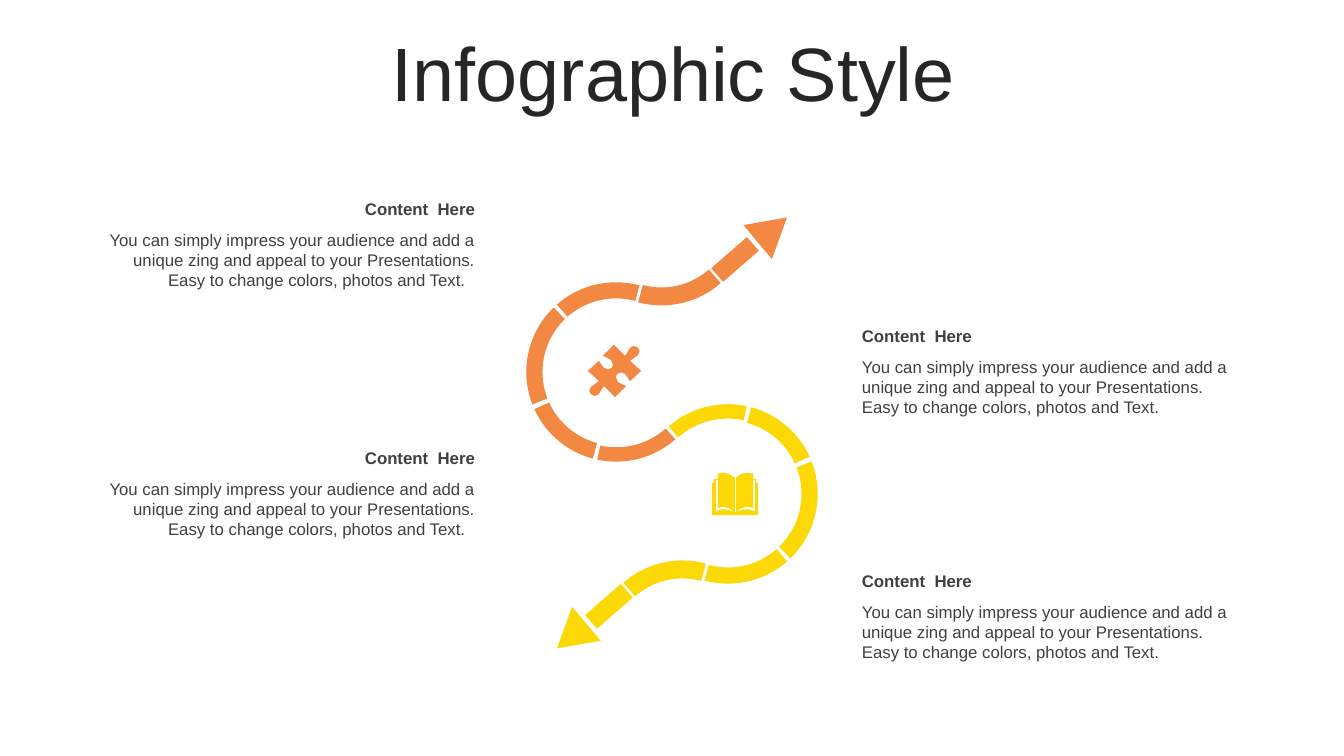
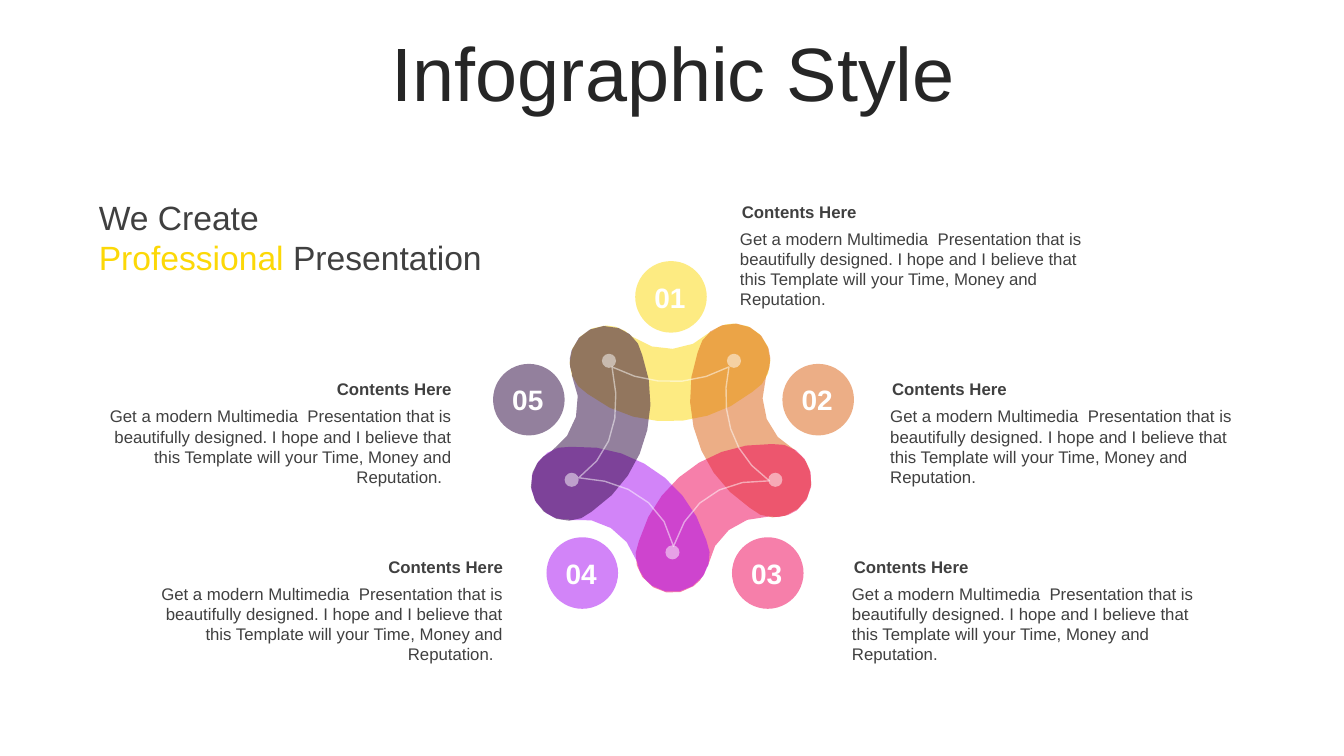
from pptx import Presentation
from pptx import util as u
from pptx.dml.color import RGBColor
from pptx.enum import shapes, text
from pptx.oxml.ns import qn
from lxml import etree
import math

# Shared style
FONT = "Arial"
DARK = RGBColor(0x26, 0x26, 0x26)
INK = RGBColor(0x40, 0x40, 0x40)
WHITE = RGBColor(0xFF, 0xFF, 0xFF)
ORANGE = RGBColor(0xF3, 0x88, 0x43)
YELLOW = RGBColor(0xFC, 0xD8, 0x07)
RUST = RGBColor(0xDB, 0x5E, 0x0E)
PINK = RGBColor(0xEE, 0x00, 0x57)
VIOLET = RGBColor(0xA7, 0x0B, 0xF2)
PLUM = RGBColor(0x29, 0x02, 0x3C)
LEFT, RIGHT, CENTER = (text.PP_ALIGN.LEFT, text.PP_ALIGN.RIGHT,
                       text.PP_ALIGN.CENTER)
TOP, MIDDLE = text.MSO_ANCHOR.TOP, text.MSO_ANCHOR.MIDDLE
KIND = shapes.MSO_SHAPE


def write(frame, words, size=12, color=INK, bold=False, align=LEFT,
          anchor=TOP, inset=(0.1, 0.05, 0.1, 0.05), leading=None, before=0):
    """Fill a frame with a string, or with lines of (words, color) runs."""
    frame.word_wrap = True
    frame.vertical_anchor = anchor
    (frame.margin_left, frame.margin_top,
     frame.margin_right, frame.margin_bottom) = map(u.Inches, inset)
    lines = [[(words, color)]] if isinstance(words, str) else words
    for i, line in enumerate(lines):
        para = frame.add_paragraph() if i else frame.paragraphs[0]
        para.alignment = align
        para.space_before = u.Pt(before)
        if leading:
            para.line_spacing = leading
        for part, hue in line:
            run = para.add_run()
            run.text = part
            font = run.font
            font.name, font.size, font.bold = FONT, u.Pt(size), bold
            font.color.rgb = hue


def fade(part, alpha):
    """Make the solid colour of a fill or line partly transparent."""
    tint = next(part.iter(qn("a:srgbClr")))
    etree.SubElement(tint, qn("a:alpha")).set("val", str(alpha * 1000))


def trace(start, steps):
    """Turn line ends and cubic curves into points, more on long curves."""
    points = [start]
    for step in steps:
        if len(step) == 2:
            points.append(step)
            continue
        ax, ay = points[-1]
        bx, by, cx, cy, dx, dy = step
        count = 2 + round(3 * math.hypot(dx - ax, dy - ay))
        for i in range(1, count + 1):
            t = i / count
            s = 1 - t
            a, b, c, d = s ** 3, 3 * s * s * t, 3 * s * t * t, t ** 3
            points.append((a * ax + b * bx + c * cx + d * dx,
                           a * ay + b * by + c * cy + d * dy))
    return points


class Deck:
    def __init__(self):
        self.show = Presentation()
        self.show.slide_width = u.Inches(13.33)
        self.show.slide_height = u.Inches(7.5)
        self.items = None

    def page(self, title):
        slide = self.show.slides.add_slide(self.show.slide_layouts[6])
        self.items = slide.shapes
        self.label(0.35, 0.37, 12.66, 0.79, title, size=54, color=DARK,
                   align=CENTER, anchor=MIDDLE, leading=0.9, before=10)

    def label(self, x, y, w, h, words, **style):
        box = self.items.add_textbox(*map(u.Inches, (x, y, w, h)))
        write(box.text_frame, words, **style)

    def paint(self, shape, color, alpha=100):
        shape.shadow.inherit = False
        shape.line.fill.background()
        shape.fill.solid()
        shape.fill.fore_color.rgb = color
        if alpha < 100:
            fade(shape.fill._xPr, alpha)
        return shape

    def shape(self, kind, mid, w, h, color, turn=0, alpha=100, adjust=()):
        """Place a preset shape by its middle."""
        x, y = mid
        item = self.items.add_shape(
            kind, *map(u.Inches, (x - w / 2, y - h / 2, w, h)))
        item.rotation = turn % 360
        for i, value in enumerate(adjust):
            item.adjustments[i] = value
        return self.paint(item, color, alpha)

    def outline(self, points, color, alpha=100, shift=(0, 0), turn=0):
        spots = [(u.Inches(x + shift[0]), u.Inches(y + shift[1]))
                 for x, y in points]
        build = self.items.build_freeform(*spots[0], scale=1.0)
        build.add_line_segments(spots[1:], close=True)
        item = build.convert_to_shape()
        item.rotation = turn
        return self.paint(item, color, alpha)

    def wire(self, points, color, alpha):
        item = self.outline(points, color)
        item.fill.background()
        item.line.color.rgb = color
        item.line.width = u.Pt(1)
        fade(item.line._ln, alpha)

    def note(self, x, y, w, head, body, align, gap, sides):
        """Place a bold heading with a paragraph below it."""
        (near, far), (inner, outer) = sides
        self.label(x, y, w, 0.3, head, bold=True, align=align,
                   inset=(near, 0.05, far, 0.05))
        tail = "  " if align == RIGHT else ""
        self.label(x, y + gap, w, 0.8, body + tail, align=align,
                   inset=(inner, 0.05, outer, 0.05))


# Snake: each arc has middle, turn and adjustments (start, end, thickness)
LOOP = (6.11, 3.69)
ARCS = [
    (LOOP, 285, (140.29, 180.58, 0.09)),
    (LOOP, 285, (182.21, 0.07, 0.09)),
    (LOOP, 285, (108, 138.3, 0.09)),
    (LOOP, 105, (182.21, 214.26, 0.08)),
    ((6.56, 2.14), 105, (182.21, 0.02, 0.1)),
]
HUB = (6.665, 4.295)

# Puzzle piece: the second half is the first, turned about its middle
PIECE = (6.095, 3.68)
HALF = [
    (6.35, 3.46, 6.35, 3.5, 6.33, 3.52), (6.31, 3.55, 6.28, 3.54, 6.25, 3.58),
    (6.36, 3.68), (6.25, 3.78),
    (6.22, 3.76, 6.23, 3.73, 6.2, 3.71), (6.18, 3.69, 6.14, 3.69, 6.12, 3.71),
    (6.11, 3.72, 6.1, 3.76, 6.13, 3.79), (6.16, 3.82, 6.17, 3.8, 6.21, 3.83),
    (6.1, 3.94), (5.99, 3.83),
    (5.95, 3.87, 5.97, 3.88, 5.94, 3.91), (5.92, 3.94, 5.88, 3.93, 5.86, 3.91),
]

# Open book
BOOK = [
    (7.3, 5.08), (7.37, 5.05, 7.41, 5.04, 7.49, 5.07), (7.49, 4.76),
    (7.47, 4.76), (7.47, 5.04), (7.41, 5.01, 7.35, 5.03, 7.3, 5.08),
    (7.3, 4.74), (7.33, 4.71, 7.36, 4.69, 7.4, 4.69),
    (7.42, 4.69, 7.44, 4.69, 7.47, 4.7), (7.47, 4.75), (7.5, 4.75),
    (7.5, 4.79), (7.52, 4.79), (7.52, 5.11), (7.06, 5.11), (7.06, 4.79),
    (7.08, 4.79), (7.08, 4.75), (7.12, 4.75), (7.12, 4.7),
    (7.14, 4.69, 7.16, 4.69, 7.18, 4.69), (7.22, 4.69, 7.25, 4.71, 7.29, 4.74),
    (7.29, 5.08), (7.23, 5.03, 7.17, 5.01, 7.12, 5.04), (7.12, 4.76),
    (7.1, 4.76), (7.1, 5.07), (7.17, 5.03, 7.22, 5.06, 7.29, 5.08),
]

# Petal: drawn once about its middle, then moved and turned
CORE = (6.645, 3.695)
PETAL = [
    (7.48, 3.21, 7.64, 3.37, 7.64, 3.58), (7.64, 3.71, 7.57, 3.83, 7.46, 3.89),
    (6.99, 4.27, 6.31, 4.28, 5.83, 3.91), (5.72, 3.85, 5.65, 3.73, 5.65, 3.6),
    (5.65, 3.4, 5.81, 3.23, 6.01, 3.23), (6.11, 3.23, 6.2, 3.27, 6.27, 3.34),
    (6.51, 3.52, 6.84, 3.5, 7.05, 3.29), (7.06, 3.29),
    (7.12, 3.24, 7.19, 3.21, 7.28, 3.21),
]
# Petal middle, turn, colour, badge middle, note corner and side
STEPS = [
    (CORE, 0, YELLOW, (6.655, 2.945), (7.26, 1.95), LEFT),
    ((7.375, 4.205), 72.2, RUST, (8.115, 3.965), (8.75, 3.71), LEFT),
    ((7.115, 5.055), 144.6, PINK, (7.615, 5.685), (8.37, 5.47), LEFT),
    ((6.215, 5.065), 215.3, VIOLET, (5.775, 5.685), (1.45, 5.47), RIGHT),
    ((5.925, 4.235), 288.6, PLUM, (5.245, 3.965), (0.94, 3.71), RIGHT),
]
DOTS = [(6.04, 3.58), (7.28, 3.58), (7.69, 4.76), (6.67, 5.48), (5.67, 4.76)]
WEB = [
    (6.43, 3.83, 6.86, 3.84, 7.23, 3.64), (7.14, 4.05, 7.23, 4.49, 7.63, 4.77),
    (7.16, 4.75, 6.82, 4.97, 6.68, 5.42), (6.58, 4.96, 6.18, 4.76, 5.74, 4.74),
    (6.09, 4.49, 6.17, 4.09, 6.07, 3.64),
]
TITLE = "Infographic Style"
PITCH = ("You can simply impress your audience and add a unique zing and "
         "appeal to your Presentations. Easy to change colors, photos and "
         "Text.")
STORY = ("Get a modern Multimedia  Presentation that is beautifully designed. "
         "I hope and I believe that this Template will your Time, Money and "
         "Reputation.")


def mirror(values, mid):
    """Turn a flat run of x, y values half way round a middle."""
    return tuple(2 * mid[i % 2] - v for i, v in enumerate(values))


def snake(deck, color, half):
    """Draw one arrow; the other is the same, turned half way round."""
    def place(mid):
        return mirror(mid, HUB) if half else mid
    for mid, turn, adjust in ARCS:
        deck.shape(KIND.BLOCK_ARC, place(mid), 1.78, 1.78, color,
                   turn + half, adjust=adjust)
    deck.shape(KIND.RECTANGLE, place((7.29, 2.575)), 0.18, 0.47, color,
               49 + half)
    deck.shape(KIND.ISOSCELES_TRIANGLE, place((7.66, 2.28)), 0.44, 0.38,
               color, 50 + half)


def paths_page(deck):
    deck.page(TITLE)
    for i, y in enumerate((1.92, 3.18, 4.39, 5.61)):
        x, align = ((0.9, RIGHT), (8.45, LEFT))[i % 2]
        deck.note(x, y, 3.91 if align == RIGHT else 3.87, "Content  Here",
                  PITCH, align, 0.31, ((0.1, 0.1), (0.1, 0.1)))
    rest = [mirror(step, PIECE) for step in HALF]
    deck.outline(trace((6.33, 3.45), HALF + rest), ORANGE)
    deck.outline(trace((7.29, 5.08), BOOK), YELLOW)
    snake(deck, ORANGE, 0)
    snake(deck, YELLOW, 180)


def star_page(deck):
    deck.page(TITLE)
    deck.label(0.9, 1.95, 4.16, 0.81,
               [[("We Create", INK)],
                [("Professional ", YELLOW), ("Presentation", INK)]],
               size=24, inset=(0.08, 0, 0.04, 0))
    # Notes and petals
    petal = trace((7.28, 3.21), PETAL)
    for mid, turn, color, _, (x, y), align in STEPS:
        deck.note(x, y, 3.66, "Contents Here", STORY, align, 0.27,
                  ((0.1, 0.12), (0.08, 0.12)))
        shift = (mid[0] - CORE[0], mid[1] - CORE[1])
        deck.outline(petal, color, 50, shift, turn)
    # Numbered badges
    for i, (_, _, color, spot, _, _) in enumerate(STEPS, 1):
        badge = deck.shape(KIND.OVAL, spot, 0.71, 0.71, color, alpha=50)
        write(badge.text_frame, f"{i:02d}", size=20, color=WHITE, bold=True,
              align=CENTER, anchor=MIDDLE, inset=(0, 0, 0.02, 0))
    # Joints and the thin web between them
    for spot in DOTS:
        deck.shape(KIND.FLOWCHART_CONNECTOR, spot, 0.14, 0.14, WHITE,
                   alpha=50)
    deck.wire(trace((6.07, 3.64), WEB), WHITE, 50)


def main():
    deck = Deck()
    paths_page(deck)
    star_page(deck)
    deck.show.save("out.pptx")


if __name__ == "__main__":
    main()
